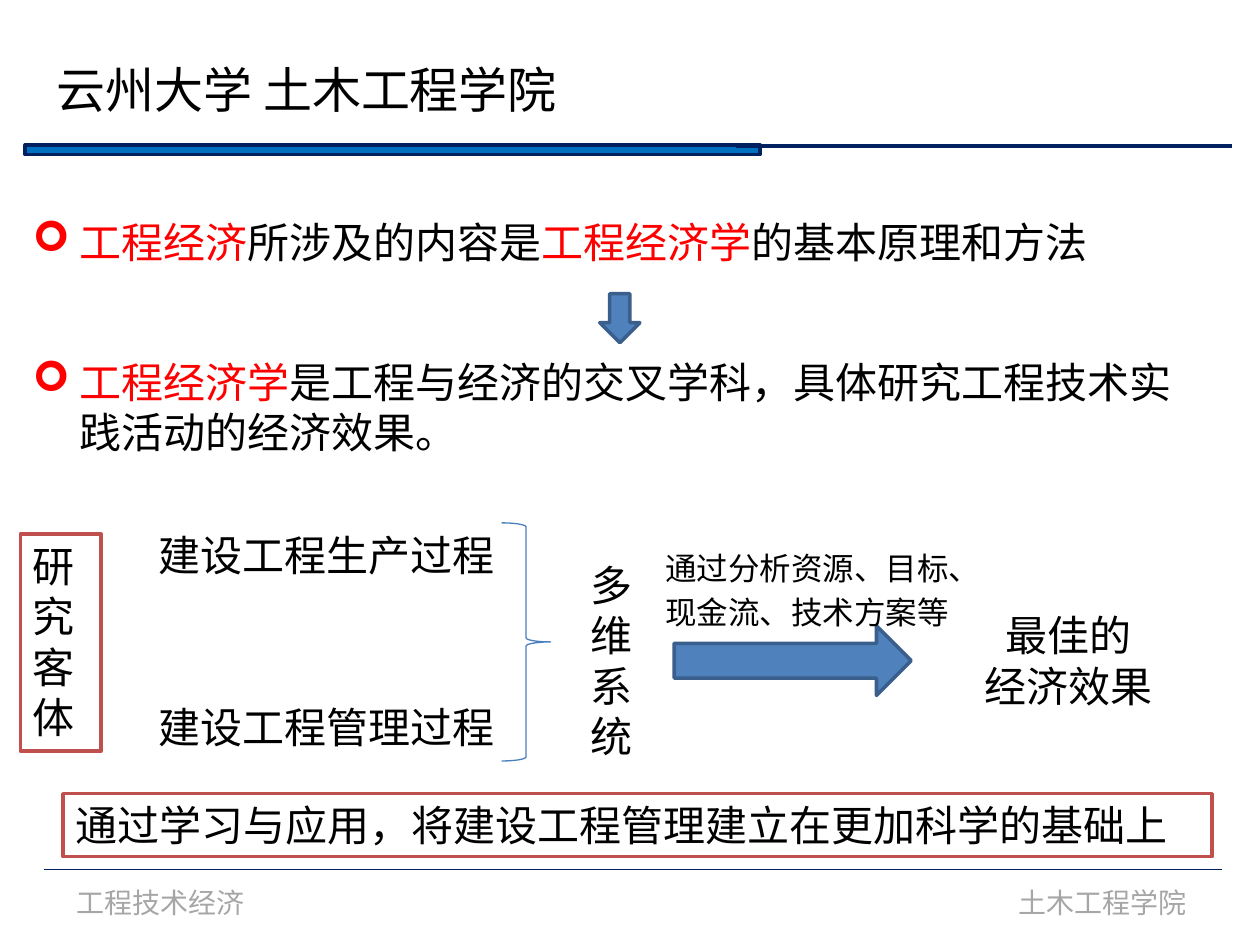
from lxml.etree import SubElement
from pptx import Presentation
from pptx.dml.color import RGBColor
from pptx.enum.shapes import MSO_CONNECTOR as Link, MSO_SHAPE as Form
from pptx.enum.text import MSO_ANCHOR as Anchor, MSO_AUTO_SIZE as Fit, PP_ALIGN as Align
from pptx.oxml.ns import qn
from pptx.util import Cm, Pt

SANS, LATIN = "Noto Sans CJK SC", "Calibri"
BLACK, RED, GREY, NAVY = "000000", "FF0000", "A6A6A6", "002060"
hue = RGBColor.from_string

deck = Presentation()
deck.slide_width, deck.slide_height = Cm(25.4), Cm(19.05)
page = deck.slides.add_slide(deck.slide_layouts[6])


def draw(form, place, fill, line, width):
    shape = page.shapes.add_shape(form, *map(Cm, place))
    shape.shadow.inherit = False
    if fill:
        shape.fill.solid()
        shape.fill.fore_color.rgb = hue(fill)
    else:
        shape.fill.background()
    shape.line.color.rgb = hue(line)
    shape.line.width = Pt(width)
    return shape


def write(box, paras, size=24, font=SANS, wrap=True, align=Align.LEFT, bullet=None):
    frame = box.text_frame
    frame_format = {"word_wrap": wrap, "auto_size": Fit.SHAPE_TO_FIT_TEXT,
                    "vertical_anchor": Anchor.TOP}
    for name, value in frame_format.items():
        setattr(frame, name, value)
    for index, spans in enumerate(paras):
        para = frame.paragraphs[0] if index == 0 else frame.add_paragraph()
        para.alignment = align
        if bullet:
            props = para._p.get_or_add_pPr()
            props.set("marL", str(Cm(0.95)))
            props.set("indent", str(-Cm(0.95)))
            SubElement(props, qn("a:buFont"), typeface="Wingdings")
            SubElement(props, qn("a:buChar"), char=bullet)
        for text, color in spans:
            span = para.add_run()
            span.text = text
            for name, value in {"size": Pt(size), "name": font}.items():
                setattr(span.font, name, value)
            span.font.color.rgb = hue(color)
            SubElement(span._r.get_or_add_rPr(), qn("a:ea"), typeface=SANS)


draw(Form.RECTANGLE, (0.51, 2.92, 14.81, 0.2), "0070C0", NAVY, 2)
for left, right, top, width in [(14.83, 24.84, 2.95, 2.25), (0.89, 24.64, 17.53, 0.75)]:
    rule = page.shapes.add_connector(Link.STRAIGHT, Cm(left), Cm(top), Cm(right), Cm(top))
    rule.line.color.rgb = hue(NAVY)
    rule.line.width = Pt(width)
    SubElement(rule._element.spPr, qn("a:effectLst"))

for place in [(12.09, 5.92, 0.81, 0.99), (13.59, 12.62, 4.78, 1.4)]:
    form = Form.DOWN_ARROW if place[3] > place[2] else Form.RIGHT_ARROW
    draw(form, place, "4F81BD", "3A5F8C", 2)
brace = draw(Form.LEFT_BRACE, (10.11, 10.54, 0.99, 4.8), None, "4B7EBC", 0.75)
brace.rotation = 180

footer = {"size": 16, "font": LATIN, "wrap": False}
method = {"size": 18, "font": LATIN, "wrap": False}
point = {"bullet": "➢"}
texts = [
    ((1.3, 17.73, 3.94, 0.94), [[("工程技术经济", GREY)]], footer),
    ((20.29, 17.73, 3.94, 0.94), [[("土木工程学院", GREY)]], footer),
    ((0.89, 1.07, 10.77, 1.44), [[("云州大学 土木工程学院", BLACK)]],
     {"size": 28, "wrap": False}),
    ((0.41, 4.24, 25.37, 1.27),
     [[("工程经济", RED), ("所涉及的内容是", BLACK),
       ("工程经济学", RED), ("的基本原理和方法", BLACK)]], point),
    ((0.41, 7.06, 23.62, 2.31),
     [[("工程经济学", RED),
       ("是工程与经济的交叉学科，具体研究工程技术实践活动的经济效果。", BLACK)]], point),
    ((2.95, 10.54, 8.15, 1.27), [[("建设工程生产过程", BLACK)]], {}),
    ((2.95, 14.02, 8.15, 1.27), [[("建设工程管理过程", BLACK)]], {}),
    ((11.66, 11.15, 1.14, 4.37), [[("多维系统", BLACK)]], {}),
    ((19.38, 12.17, 4.32, 2.31), [[("最佳的", BLACK)], [("经济效果", BLACK)]],
     {"align": Align.CENTER}),
    ((13.16, 10.95, 6.86, 1.02), [[("通过分析资源、目标、", BLACK)]], method),
    ((13.16, 11.84, 6.22, 1.02), [[("现金流、技术方案等", BLACK)]], method),
]
for place, paras, style in texts:
    write(page.shapes.add_textbox(*map(Cm, place)), paras, **style)

for place, text in [
    ((0.41, 10.77, 1.63, 4.37), "研究客体"),
    ((1.27, 16, 23.16, 1.27), "通过学习与应用，将建设工程管理建立在更加科学的基础上"),
]:
    write(draw(Form.RECTANGLE, place, "FFFFFF", "C0504D", 2), [[(text, BLACK)]])

deck.save("out.pptx")
